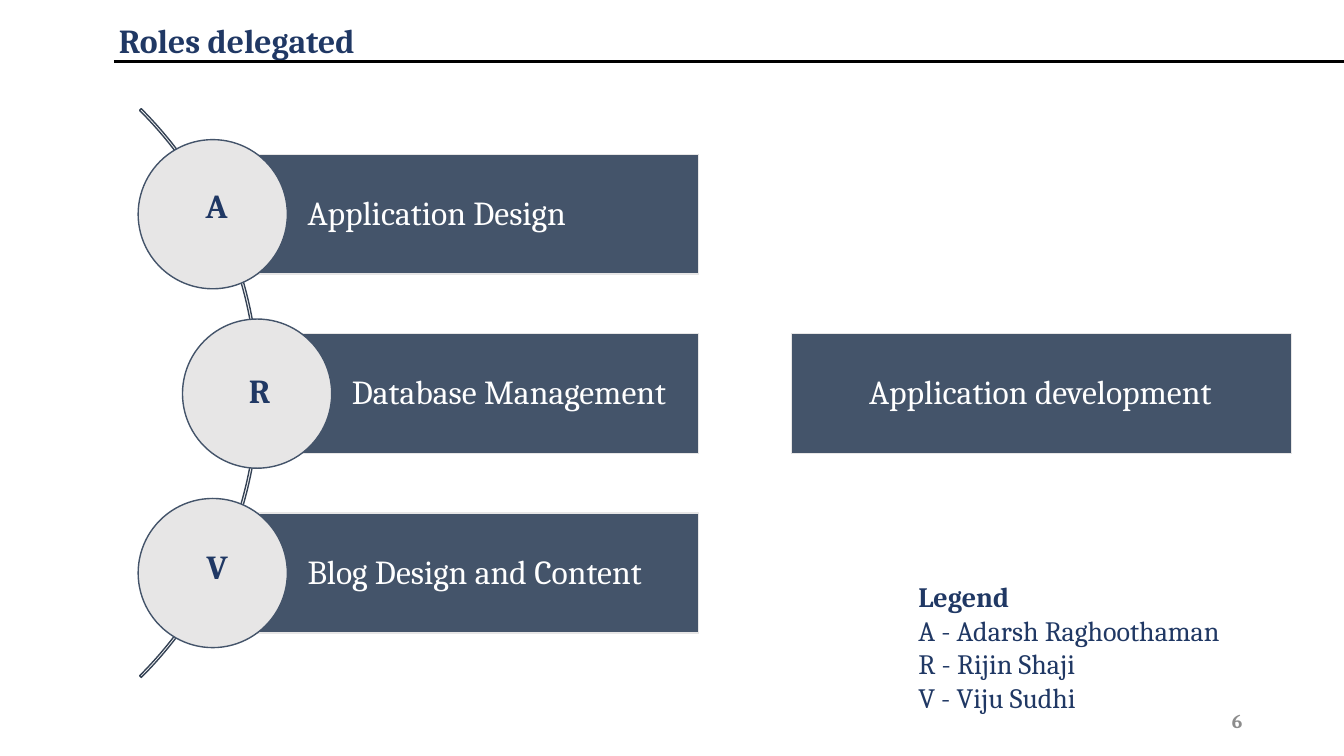
"""Build the slide that shows which team member has which role."""
import pptx
import pptx.dml.color
import pptx.enum.shapes
import pptx.enum.text
import pptx.util
from lxml import etree

Inches = pptx.util.Inches
SHAPES = pptx.enum.shapes.MSO_SHAPE
ALIGN = pptx.enum.text.PP_ALIGN
ANCHOR = pptx.enum.text.MSO_ANCHOR

FONT = "Cambria"
NAVY, SLATE, PALE, WHITE = "203864", "44546A", "E7E6E6", "FFFFFF"
ARC_LINE, BLACK, GREY = "364355", "000000", "8C8C8C"

TITLE = "Roles delegated"
PAGE = "6"
ROLES = [
    ("A", "Application Design", 2.11, (1.94, 1.79)),
    ("R", "Database Management", 2.55, (2.37, 3.62)),
    ("V", "Blog Design and Content", 2.11, (1.95, 5.37)),
]
SHARED_ROLE = "Application development"
LEGEND = ["Legend", "A - Adarsh Raghoothaman", "R - Rijin Shaji", "V - Viju Sudhi"]

FIRST_BAR_TOP, ROW_STEP = 1.53, 1.78
BAR_HEIGHT, BAR_RIGHT = 1.19, 6.93
CIRCLE = 1.48


def color(hex_string):
    return pptx.dml.color.RGBColor.from_string(hex_string)


def write(frame, lines, size, ink, bold=False, align=ALIGN.LEFT):
    frame.text = "\n".join(lines)
    for paragraph in frame.paragraphs:
        paragraph.alignment = align
        for run in paragraph.runs:
            run.font.name = FONT
            run.font.size = pptx.util.Pt(size)
            run.font.bold = bold
            run.font.color.rgb = color(ink)


def add_figure(slide, preset, box, fill, line):
    figure = slide.shapes.add_shape(preset, *map(Inches, box))
    figure.shadow.inherit = False
    if fill:
        figure.fill.solid()
        figure.fill.fore_color.rgb = color(fill)
    else:
        figure.fill.background()
    figure.line.color.rgb = color(line)
    figure.line.width = pptx.util.Pt(1)
    return figure


def add_bar(slide, box, role, indent):
    bar = add_figure(slide, SHAPES.RECTANGLE, box, SLATE, PALE)
    frame = bar.text_frame
    frame.word_wrap = True
    frame.vertical_anchor = ANCHOR.MIDDLE
    frame.margin_left = Inches(indent)
    frame.margin_top = frame.margin_right = frame.margin_bottom = Inches(0.07)
    write(frame, [role], 24, WHITE)
    frame.paragraphs[0].line_spacing = 0.9


def add_text(slide, box, lines, size, ink, wrap=True, **style):
    frame = slide.shapes.add_textbox(*map(Inches, box)).text_frame
    frame.word_wrap = wrap
    write(frame, lines, size, ink, **style)
    return frame


def add_title(slide):
    title = slide.shapes.title
    title.left, title.top, title.width, title.height = map(Inches, (1.08, 0.15, 4.38, 0.5))
    frame = title.text_frame
    frame.auto_size = pptx.enum.text.MSO_AUTO_SIZE.NONE
    frame.vertical_anchor = ANCHOR.TOP
    write(frame, [TITLE], 24, NAVY, bold=True)

    rule = slide.shapes.add_connector(
        pptx.enum.shapes.MSO_CONNECTOR.STRAIGHT, *map(Inches, (1.13, 0.61, 13.33, 0.61)))
    rule.line.color.rgb = color(BLACK)
    rule.line.width = pptx.util.Pt(2.25)
    etree.SubElement(rule._element.spPr, pptx.oxml.ns.qn("a:effectLst"))


def add_roles(slide):
    arc = add_figure(slide, SHAPES.BLOCK_ARC, (-5.41, -0.09, 7.98, 7.98), None, ARC_LINE)
    for index, value in enumerate((189, 27, 0.003)):
        arc.adjustments[index] = value

    for row, (letter, role, left, letter_at) in enumerate(ROLES):
        top = FIRST_BAR_TOP + row * ROW_STEP
        add_bar(slide, (left, top, BAR_RIGHT - left, BAR_HEIGHT), role, 0.94)
        circle_top = top + (BAR_HEIGHT - CIRCLE) / 2
        add_figure(slide, SHAPES.OVAL, (left - CIRCLE / 2, circle_top, CIRCLE, CIRCLE),
                   PALE, SLATE)
        add_text(slide, (*letter_at, 0.42, 0.5), [letter], 24, NAVY, wrap=False, bold=True)

    add_bar(slide, (7.85, FIRST_BAR_TOP + ROW_STEP, 4.96, BAR_HEIGHT), SHARED_ROLE, 0.77)


def main():
    deck = pptx.Presentation()
    deck.slide_width, deck.slide_height = Inches(13.33), Inches(7.5)
    slide = deck.slides.add_slide(deck.slide_layouts.get_by_name("Title Only"))
    add_title(slide)
    add_roles(slide)
    legend = add_text(slide, (9.01, 5.7, 4.03, 1.45), LEGEND, 20, NAVY)
    legend.paragraphs[0].runs[0].font.bold = True
    page = add_text(slide, (9.42, 6.95, 3, 0.4), [PAGE], 14, GREY, bold=True, align=ALIGN.RIGHT)
    page.vertical_anchor = ANCHOR.MIDDLE
    deck.save("out.pptx")


if __name__ == "__main__":
    main()
